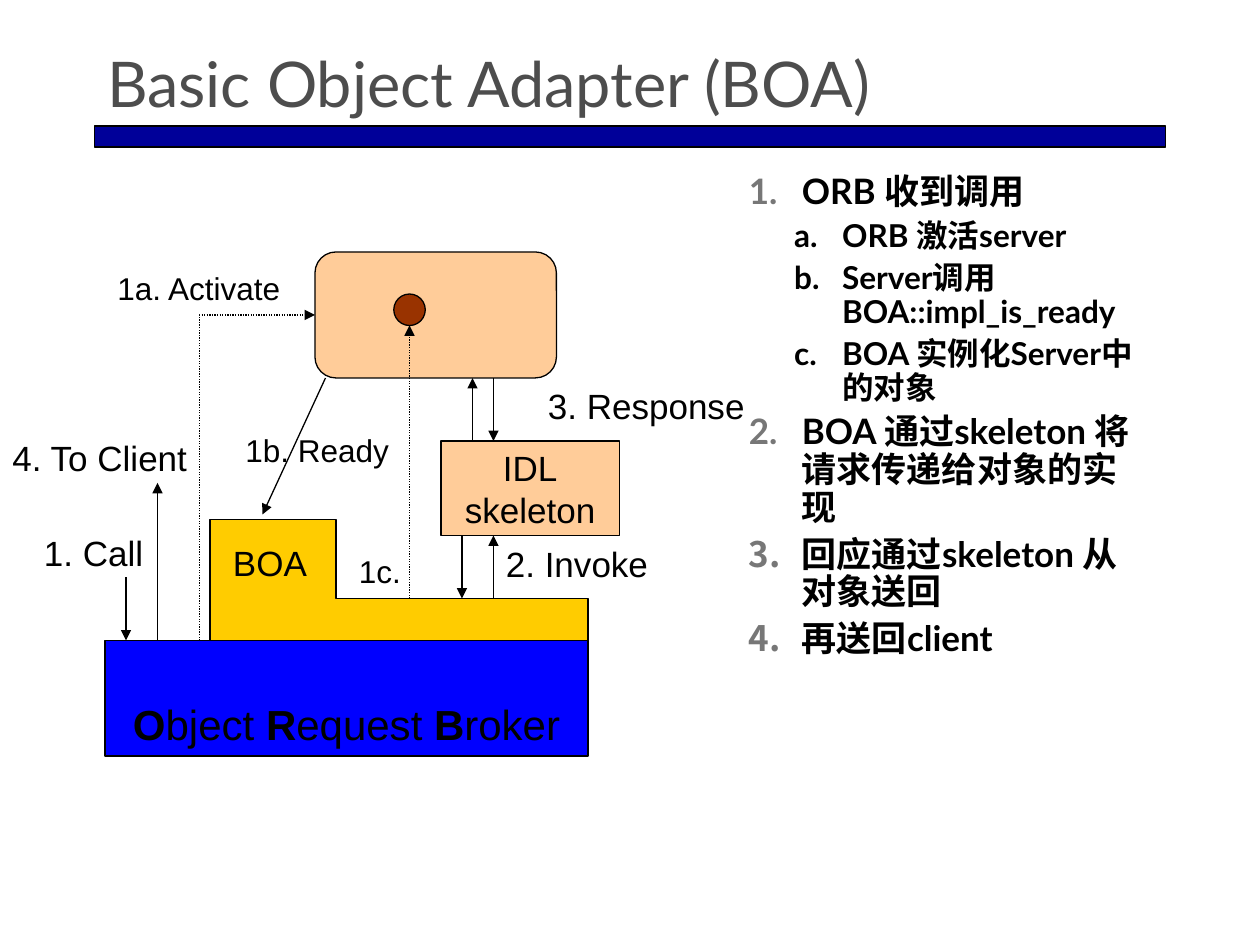
from lxml.etree import SubElement
from pptx import Presentation
from pptx.dml.color import RGBColor
from pptx.enum.dml import MSO_LINE_DASH_STYLE as DASH
from pptx.enum.shapes import MSO_CONNECTOR, MSO_SHAPE as SHAPE
from pptx.enum.text import MSO_ANCHOR as ANCHOR, MSO_AUTO_SIZE as FIT, PP_ALIGN as ALIGN
from pptx.oxml.ns import qn
from pptx.util import Inches, Pt

COLORS = {"black": "000000", "title": "4D4D4D", "bar": "000099", "number": "777777",
          "peach": "FFCC99", "orb": "0000FF", "boa": "FFCC00", "object": "993300"}

# Content: diagram positions are in grid units of 1/12 inch
TITLE = "Basic Object Adapter (BOA)"
STEPS = [
    (0, "ORB 收到调用"),
    (1, "ORB 激活server"),
    (1, "Server调用BOA::impl_is_ready"),
    (1, "BOA 实例化Server中的对象"),
    (0, "BOA 通过skeleton 将请求传递给对象的实现"),
    (0, "回应通过skeleton 从对象送回"),
    (0, "再送回client"),
]
LEVELS = [
    {"size": 20, "before": 5, "left": 0.43, "hang": 0.42, "scheme": "arabicPeriod", "color": "number"},
    {"size": 18, "before": 4.5, "left": 0.75, "hang": 0.38, "scheme": "alphaLcPeriod", "color": "black"},
]
BREAK = ("\n", False)
# kind, box, fill, text size, runs as (text, bold)
BOXES = [
    (SHAPE.RECTANGLE, (9, 12, 102, 2), "bar", 0, []),
    (SHAPE.ROUNDED_RECTANGLE, (30, 24, 23, 12), "peach", 0, []),
    (SHAPE.RECTANGLE, (42, 42, 17, 9), "peach", 20, [("IDL", False), BREAK, ("skeleton", False)]),
    (SHAPE.RECTANGLE, (10, 61, 46, 11), "orb", 24,
     [BREAK, ("O", True), ("bject ", False), ("R", True), ("equest ", False),
      ("B", True), ("roker", False)]),
    (SHAPE.OVAL, (37.5, 28, 3, 3), "object", 0, []),
]
ADAPTER = [(20, 49.5), (32, 49.5), (32, 57), (56, 57), (56, 61), (20, 61)]
ACTIVATE = [(19, 61), (19, 30), (30, 30)]
# start, end, dotted
ARROWS = [
    ((47, 36), (47, 42), False),
    ((44, 51), (44, 57), False),
    ((12, 55), (12, 61), False),
    ((47, 57), (47, 51), False),
    ((45, 42), (45, 36), False),
    ((31, 36), (25, 49), False),
    ((39, 57), (39, 31), True),
    ((15, 61), (15, 46), False),
]
# text, left, top, width, size
LABELS = [
    ("1a. Activate", 10, 25, 18, 18),
    ("1b. Ready", 22.2, 40.5, 16.1, 18),
    ("1c.", 33, 52, 6.4, 18),
    ("1. Call", 3, 50, 11.9, 20),
    ("2. Invoke", 47, 51.1, 16, 20),
    ("3. Response", 51, 36, 21.4, 20),
    ("4. To Client", 0, 41, 19.4, 20),
    ("BOA", 21, 51, 9.5, 20),
]


def unit(n):
    return Inches(n / 12)


def rgb(name):
    return RGBColor.from_string(COLORS[name])


def add_run(p, text, size, font="Arial", color="black", bold=False):
    r = p.add_run()
    r.text = text
    for key, value in {"size": Pt(size), "name": font, "bold": bold}.items():
        setattr(r.font, key, value)
    r.font.color.rgb = rgb(color)


def add_break(p, size):
    p.add_line_break()
    SubElement(p._p.findall(qn("a:br"))[-1], qn("a:rPr"), sz=str(size * 100))


def outline(sp, dotted=False):
    sp.line.color.rgb = rgb("black")
    sp.line.width = Pt(0.75)
    if dotted:
        sp.line.dash_style = DASH.ROUND_DOT


def paint(sp, fill=None, dotted=False):
    sp.shadow.inherit = False
    if fill:
        sp.fill.solid()
        sp.fill.fore_color.rgb = rgb(fill)
    else:
        sp.fill.background()
    outline(sp, dotted)


def add_head(sp):
    SubElement(sp.line._get_or_add_ln(), qn("a:tailEnd"), type="triangle")


def add_path(shapes, points, close):
    pts = [(unit(x), unit(y)) for x, y in points]
    builder = shapes.build_freeform(*pts[0])
    builder.add_line_segments(pts[1:], close=close)
    return builder.convert_to_shape()


def place(sp, left, top, width, height):
    sp.left, sp.top, sp.width, sp.height = map(unit, (left, top, width, height))


def add_steps(tf):
    tf.auto_size = FIT.NONE
    for i, (level, text) in enumerate(STEPS):
        fmt = LEVELS[level]
        p = tf.add_paragraph() if i else tf.paragraphs[0]
        p.level, p.line_spacing, p.space_before = level, 0.9, Pt(fmt["before"])
        add_run(p, text, fmt["size"], "Lato", bold=True)
        # Automatic number in its own colour
        pPr = p._p.get_or_add_pPr()
        pPr.set("marL", str(Inches(fmt["left"])))
        pPr.set("indent", str(-Inches(fmt["hang"])))
        SubElement(SubElement(pPr, qn("a:buClr")), qn("a:srgbClr"), val=COLORS[fmt["color"]])
        SubElement(pPr, qn("a:buFont"), typeface="Lato")
        SubElement(pPr, qn("a:buAutoNum"), type=fmt["scheme"])


def main():
    prs = Presentation()
    prs.slide_width, prs.slide_height = Inches(10), Inches(7.5)
    slide = prs.slides.add_slide(prs.slide_layouts[1])
    shapes = slide.shapes

    # Title and numbered steps
    title, body = slide.placeholders
    place(title, 9, 4, 102, 8)
    tf = title.text_frame
    tf.vertical_anchor, tf.auto_size = ANCHOR.BOTTOM, FIT.NONE
    tf.paragraphs[0].alignment = ALIGN.LEFT
    add_run(tf.paragraphs[0], TITLE, 36, "Lato", "title")
    place(body, 70, 16, 40, 60)
    add_steps(body.text_frame)

    # Boxes
    for kind, box, fill, size, runs in BOXES:
        sp = shapes.add_shape(kind, *map(unit, box))
        paint(sp, fill)
        tf = sp.text_frame
        tf.word_wrap, tf.vertical_anchor = False, ANCHOR.MIDDLE
        p = tf.paragraphs[0]
        p.alignment = ALIGN.CENTER
        for text, bold in runs:
            if text == "\n":
                add_break(p, size)
            else:
                add_run(p, text, size, bold=bold)
    paint(add_path(shapes, ADAPTER, True), "boa")

    # Arrows
    bent = add_path(shapes, ACTIVATE, False)
    paint(bent, dotted=True)
    add_head(bent)
    for start, end, dotted in ARROWS:
        line = shapes.add_connector(MSO_CONNECTOR.STRAIGHT, *map(unit, start + end))
        outline(line, dotted)
        add_head(line)
        SubElement(line._element.spPr, qn("a:effectLst"))

    # Labels
    for text, left, top, width, size in LABELS:
        tf = shapes.add_textbox(*map(unit, (left, top, width, size * 0.265))).text_frame
        tf.word_wrap, tf.auto_size = False, FIT.SHAPE_TO_FIT_TEXT
        add_run(tf.paragraphs[0], text, size)

    prs.save("out.pptx")


if __name__ == "__main__":
    main()
